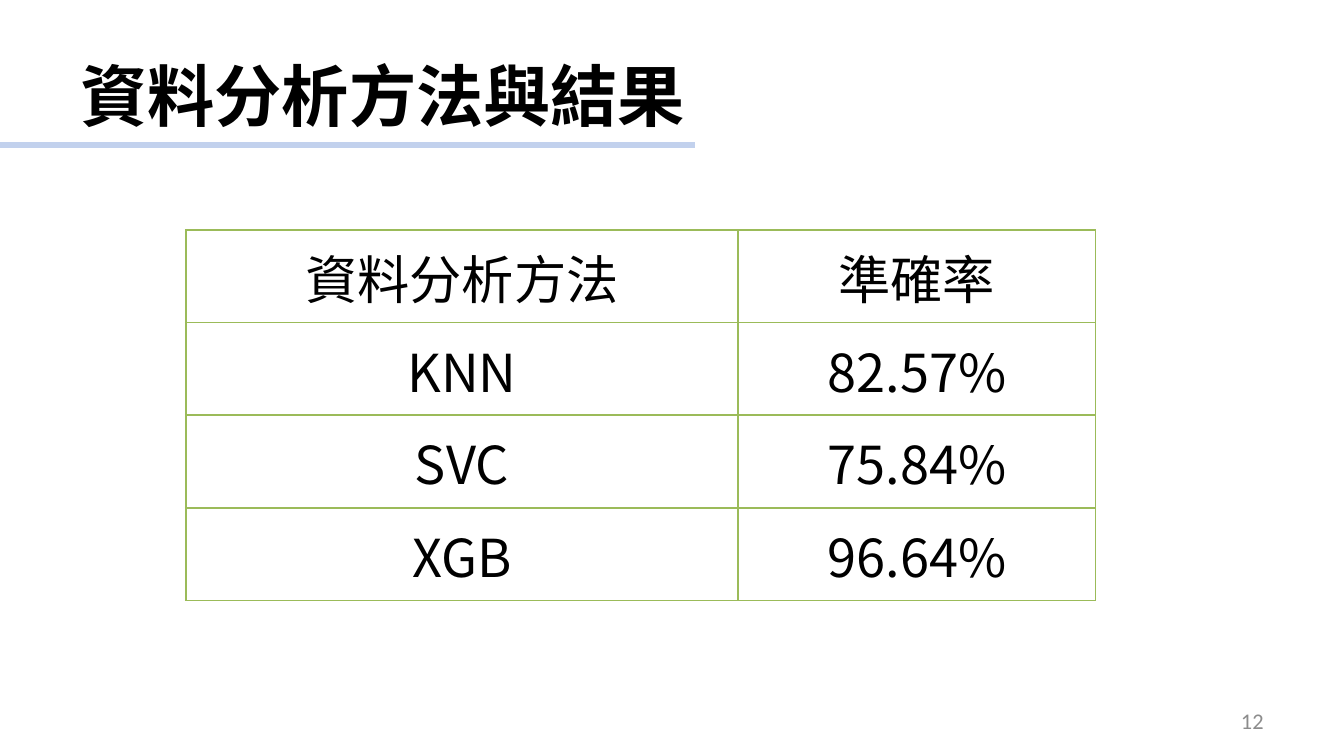
from lxml.etree import SubElement
from pptx import Presentation
from pptx.dml.color import RGBColor
from pptx.enum.shapes import MSO_CONNECTOR
from pptx.enum.text import MSO_ANCHOR, PP_ALIGN
from pptx.oxml.ns import qn
from pptx.util import Pt

BLACK = RGBColor(0x00, 0x00, 0x00)
GRAY = RGBColor(0x8C, 0x8C, 0x8C)
BLUE = RGBColor(0xC2, 0xD1, 0xED)
GREEN = RGBColor(0x9B, 0xBB, 0x59)
SANS = "Noto Sans CJK SC"
ROWS = [
    ("資料分析方法", "準確率"),
    ("KNN", "82.57%"),
    ("SVC", "75.84%"),
    ("XGB", "96.64%"),
]


def write(frame, text, size=28, font=SANS, color=BLACK, bold=False, align=PP_ALIGN.LEFT):
    """Put one formatted line of text into a text frame."""
    para = frame.paragraphs[0]
    para.alignment = align
    run = para.add_run()
    run.text = text
    run.font.size = Pt(size)
    run.font.bold = bold
    run.font.color.rgb = color
    run.font.name = font
    SubElement(run.font._element, qn("a:ea"), typeface=font)


def add_label(slide, box, text, **style):
    """Add a wrapped, vertically centred text box."""
    frame = slide.shapes.add_textbox(*map(Pt, box)).text_frame
    frame.word_wrap = True
    frame.vertical_anchor = MSO_ANCHOR.MIDDLE
    write(frame, text, **style)


def add_header(slide, box, text):
    """Add the title and the rule below it."""
    left, top, width, height = box
    base = top + height - 6.5
    rule = slide.shapes.add_connector(
        MSO_CONNECTOR.STRAIGHT, Pt(-3), Pt(base), Pt(372.25), Pt(base))
    rule.line.color.rgb = BLUE
    rule.line.width = Pt(3.25)
    SubElement(rule._element.spPr, qn("a:effectLst"))
    add_label(slide, box, text, size=36, bold=True)


def add_border(cell):
    """Draw a green line on all four sides of a cell."""
    props = cell._tc.get_or_add_tcPr()
    for side in ("lnL", "lnR", "lnT", "lnB"):
        line = SubElement(props, qn(f"a:{side}"), w=str(Pt(1)))
        fill = SubElement(line, qn("a:solidFill"))
        SubElement(fill, qn("a:srgbClr"), val=str(GREEN))


def add_scores(slide, box, rows, shares):
    """Add the table of methods and accuracy."""
    left, top, width, height = box
    table = slide.shapes.add_table(len(rows), len(shares), *map(Pt, box)).table
    table.first_row = table.horz_banding = False
    for col, share in zip(table.columns, shares):
        col.width = Pt(width * share)
    for row, texts in zip(table.rows, rows):
        row.height = Pt(height / len(rows))
        for cell, text in zip(row.cells, texts):
            add_border(cell)
            cell.fill.background()
            cell.vertical_anchor = MSO_ANCHOR.MIDDLE
            cell.margin_left = cell.margin_right = cell.margin_top = Pt(0.75)
            cell.margin_bottom = Pt(0)
            write(cell.text_frame, text, align=PP_ALIGN.CENTER)


def main():
    """Build and save the slide."""
    deck = Presentation()
    deck.slide_width, deck.slide_height = Pt(720), Pt(405)
    slide = deck.slides.add_slide(deck.slide_layouts[6])
    add_header(slide, (36, 16.75, 648, 67.5), "資料分析方法與結果")
    add_scores(slide, (99.5, 123.25, 487.5, 198.5), ROWS, (0.607, 0.393))
    add_label(slide, (516, 375.25, 168, 21.5), "12", size=12,
              font="Calibri", color=GRAY, align=PP_ALIGN.RIGHT)
    deck.save("out.pptx")


if __name__ == "__main__":
    main()
